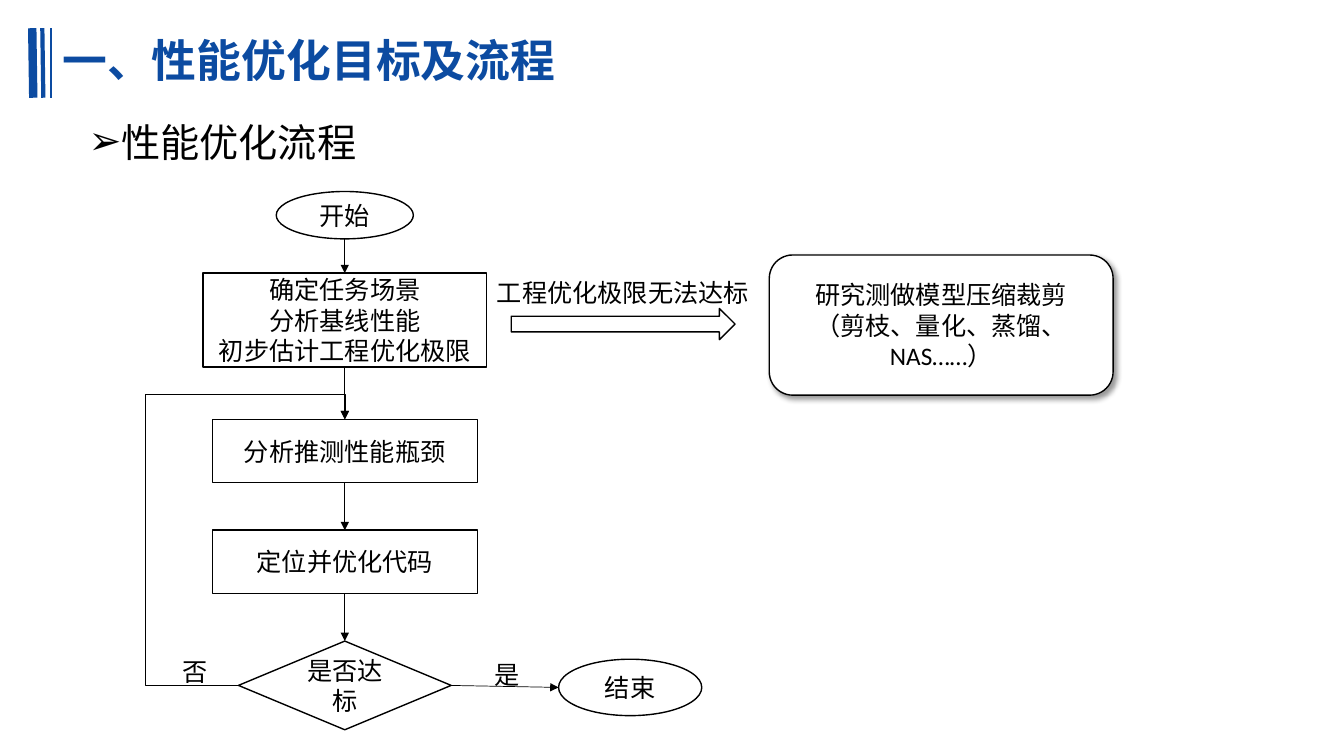
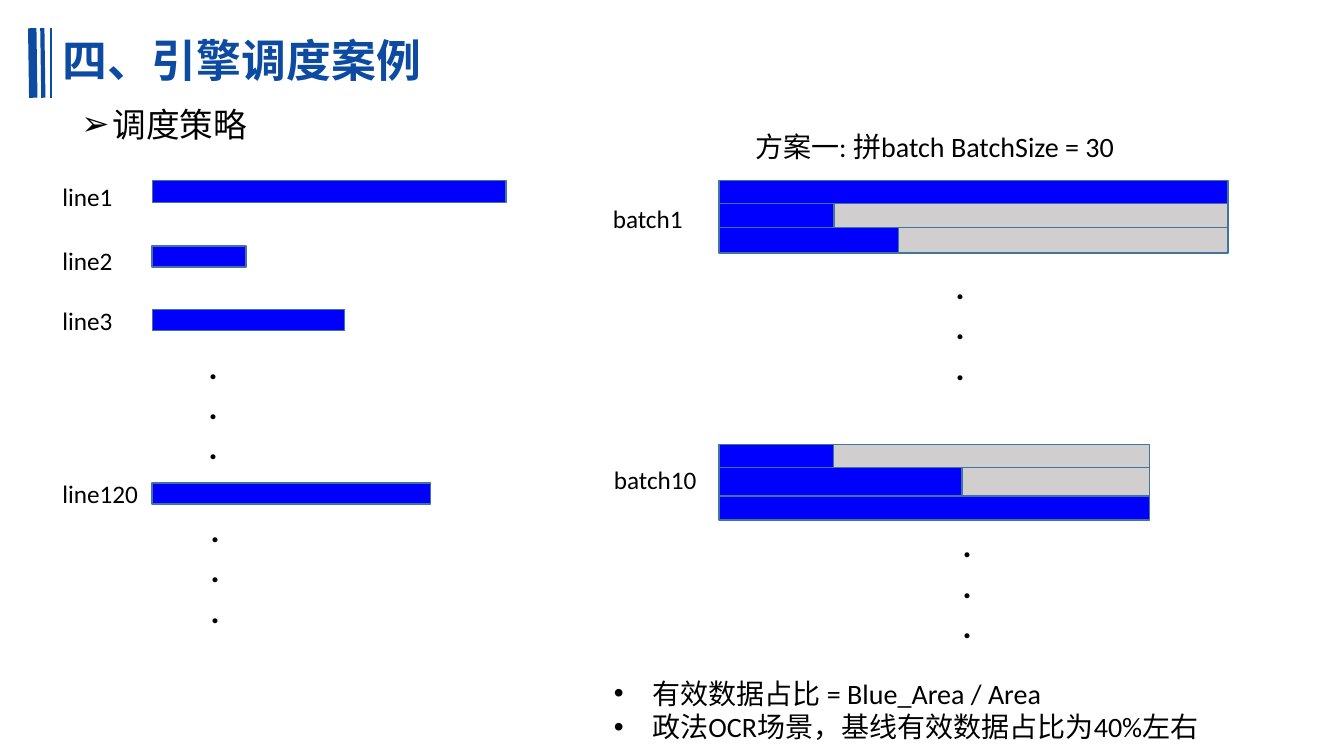
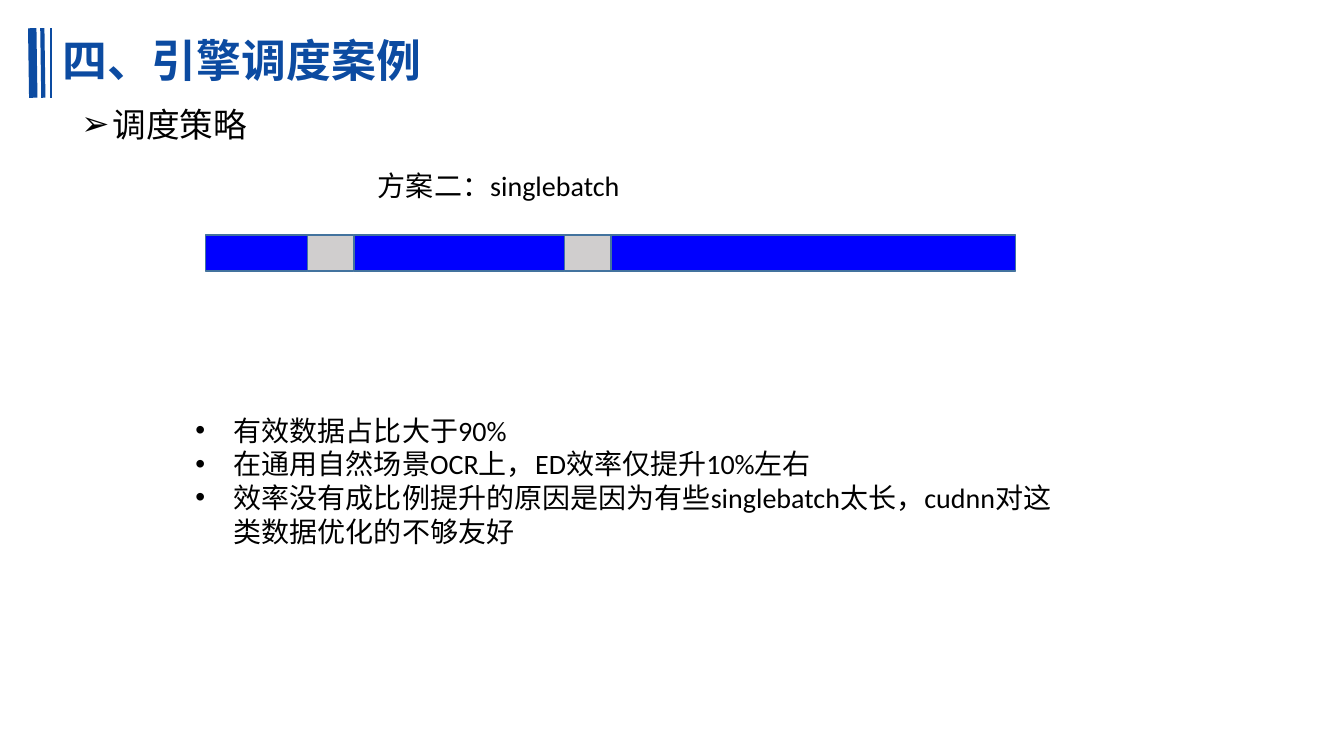
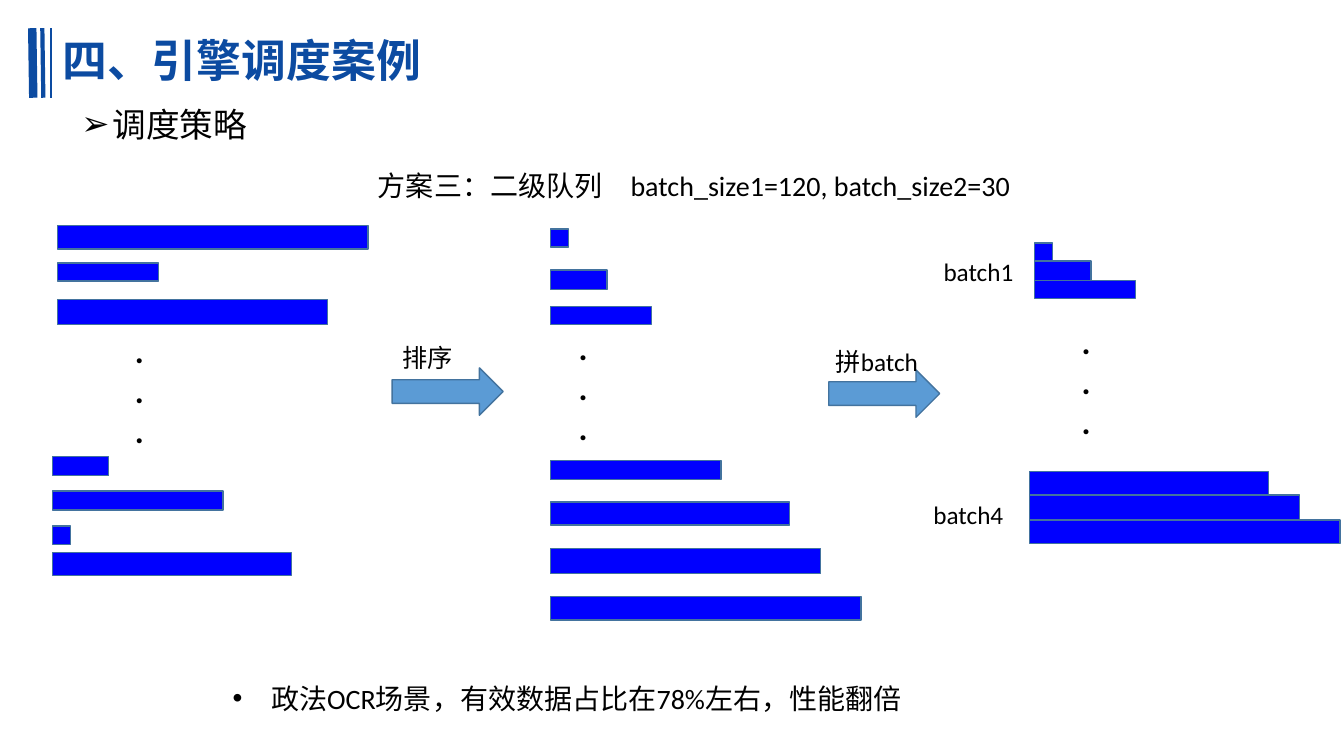
import pptx
import pptx.util
import pptx.dml.color
import pptx.enum.shapes
import pptx.enum.text
import pptx.oxml.ns
from lxml import etree

Inches = pptx.util.Inches
Pt = pptx.util.Pt
qn = pptx.oxml.ns.qn
SHAPE = pptx.enum.shapes.MSO_SHAPE
CONNECTOR = pptx.enum.shapes.MSO_CONNECTOR
ALIGN = pptx.enum.text.PP_ALIGN
ANCHOR = pptx.enum.text.MSO_ANCHOR

COLORS = {
    "title": "0C4BA1",
    "text": "000000",
    "paper": "FFFFFF",
    "data": "0000FF",
    "padding": "D0CECE",
    "arrow": "5B9BD5",
    "edge": "43739E",
}
BODY_FONT = "Calibri"
TITLE_FONT = "Noto Sans CJK SC"
TOP, LEFT, BOTTOM, RIGHT = 0, 1, 2, 3


def color(name):
    return pptx.dml.color.RGBColor.from_string(COLORS[name])


def add_xml(parent, tag, **attributes):
    return etree.SubElement(parent, qn(tag), attributes)


class Deck:
    """Shared style plus the slide being built."""

    def __init__(self):
        self.presentation = pptx.Presentation()
        self.presentation.slide_width = Inches(13.33)
        self.presentation.slide_height = Inches(7.5)
        self.slide = None

    def new_slide(self, title, topic, topic_at=(0.71, 0.98, 3.56, 0.5), topic_size=24):
        self.slide = self.presentation.slides.add_slide(self.presentation.slide_layouts[6])
        for top_x, bottom_x, width in ((0.32, 0.33, 6), (0.42, 0.43, 3), (0.51, 0.51, 1.5)):
            self.line((top_x, 0.28), (bottom_x, 0.97), "title", width)
        heading = self.text((0.52, 0.3, 12.42, 0.66), title, 32, True, "title", TITLE_FONT)
        heading.vertical_anchor = ANCHOR.MIDDLE
        heading.paragraphs[0].line_spacing = 0.9
        self.bullets(topic_at, topic, topic_size, "➢", 0.31)

    def style_text(self, frame, text, size, bold=False, ink="text", font=BODY_FONT, align=None):
        frame.word_wrap = True
        frame.text = text
        for paragraph in frame.paragraphs:
            paragraph.alignment = align
            for run in paragraph.runs:
                run.font.size = Pt(size)
                run.font.bold = bold
                run.font.color.rgb = color(ink)
                run.font.name = font
                add_xml(run.font._element, "a:ea", typeface=font)

    def text(self, at, text, size=18, bold=False, ink="text", font=BODY_FONT):
        frame = self.slide.shapes.add_textbox(*map(Inches, at)).text_frame
        self.style_text(frame, text, size, bold, ink, font)
        return frame

    def bullets(self, at, text, size=20, mark="•", indent=0.38):
        for paragraph in self.text(at, text, size).paragraphs:
            properties = paragraph._p.get_or_add_pPr()
            properties.set("marL", str(Inches(indent)))
            properties.set("indent", str(-Inches(indent)))
            add_xml(properties, "a:buFont", typeface="Arial")
            add_xml(properties, "a:buChar", char=mark)

    def dots(self, left, top):
        self.text((left, top, 0.75, 1.31), ".\n.\n.", 24, True)

    def shape(self, kind, at, fill="paper", edge="text", text=""):
        shape = self.slide.shapes.add_shape(kind, *map(Inches, at))
        shape.shadow.inherit = False
        shape.fill.solid()
        shape.fill.fore_color.rgb = color(fill)
        shape.line.color.rgb = color(edge)
        shape.line.width = Pt(1)
        if text:
            shape.text_frame.vertical_anchor = ANCHOR.MIDDLE
            self.style_text(shape.text_frame, text, 18, align=ALIGN.CENTER)
        return shape

    def drop_shadow(self, shape):
        effects = shape._element.spPr.find(qn("a:effectLst"))
        shadow = add_xml(effects, "a:outerShdw", blurRad=str(Pt(4)), dist=str(Pt(3)),
                         dir=str(45 * 60000), algn="tl", rotWithShape="0")
        ink = add_xml(shadow, "a:srgbClr", val=COLORS["text"])
        add_xml(ink, "a:alpha", val="40000")

    def bar(self, left, top, width, height, fill="data"):
        self.shape(SHAPE.RECTANGLE, (left, top, width, height), fill, "edge")

    def stack(self, left, top, rows, total=0):
        """Touching bars, each padded to the total width when one is given."""
        for width, height in rows:
            self.bar(left, top, width, height)
            if total > width:
                self.bar(left + width, top, total - width, height, "padding")
            top += height

    def line(self, start, end, ink="text", width=0.5, arrow=False, kind=CONNECTOR.STRAIGHT):
        points = [Inches(value) for value in (*start, *end)]
        connector = self.slide.shapes.add_connector(kind, *points)
        connector.line.color.rgb = color(ink)
        connector.line.width = Pt(width)
        properties = connector._element.spPr
        if arrow:
            add_xml(properties.find(qn("a:ln")), "a:tailEnd", type="triangle")
        add_xml(properties, "a:effectLst")
        return connector

    def loop_back(self, start, end, first, second):
        """Four-part elbow; the two bends are in 1/100000 of its size."""
        connector = self.line(start, end, arrow=True, kind=CONNECTOR.ELBOW)
        properties = connector._element.spPr
        frame = properties.find(qn("a:xfrm"))
        frame.attrib.pop("flipV", None)
        frame.set("rot", str(180 * 60000))
        frame.set("flipH", "1")
        geometry = properties.find(qn("a:prstGeom"))
        geometry.set("prst", "bentConnector4")
        for old in list(geometry):
            geometry.remove(old)
        guides = add_xml(geometry, "a:avLst")
        for name, value in (("adj1", first), ("adj2", second)):
            add_xml(guides, "a:gd", name=name, fmla=f"val {value}")


def flow_slide(deck):
    deck.new_slide("一、性能优化目标及流程", "性能优化流程", (0.78, 1.12, 3.29, 0.57), 28)

    # Main column of the flow, centred on one axis
    axis = 3.42
    steps = [
        (SHAPE.OVAL, 1.9, 1.36, 0.47, "开始"),
        (SHAPE.RECTANGLE, 2.71, 2.81, 0.93, "确定任务场景\n分析基线性能\n初步估计工程优化极限"),
        (SHAPE.RECTANGLE, 4.16, 2.63, 0.63, "分析推测性能瓶颈"),
        (SHAPE.RECTANGLE, 5.26, 2.63, 0.63, "定位并优化代码"),
        (SHAPE.FLOWCHART_DECISION, 6.36, 2.11, 0.88, "是否达标"),
    ]
    previous, previous_bottom = None, 0
    for kind, top, width, height, label in steps:
        step = deck.shape(kind, (axis - width / 2, top, width, height), text=label)
        if previous:
            arrow = deck.line((axis, previous_bottom), (axis, top), arrow=True)
            if previous.auto_shape_type != SHAPE.OVAL:
                arrow.begin_connect(previous, BOTTOM)
            arrow.end_connect(step, TOP)
        previous, previous_bottom = step, top + height
    decision = previous

    # Outcomes of the decision
    deck.shape(SHAPE.OVAL, (5.54, 6.54, 1.42, 0.56), text="结束")
    deck.line((4.48, 6.8), (5.54, 6.82), arrow=True).begin_connect(decision, RIGHT)
    deck.text((4.81, 6.49, 0.55, 0.4), "是")
    deck.loop_back((2.37, 6.8), (axis, 4.16), -88400, 109500)
    deck.text((1.71, 6.46, 0.71, 0.4), "否")

    # Way out when engineering alone is not enough
    deck.text((4.83, 2.7, 2.71, 0.4), "工程优化极限无法达标")
    deck.shape(SHAPE.RIGHT_ARROW, (5.07, 3.06, 2.22, 0.31))
    research = deck.shape(SHAPE.ROUNDED_RECTANGLE, (7.63, 2.53, 3.41, 1.39),
                          text="研究测做模型压缩裁剪\n（剪枝、量化、蒸馏、NAS……）")
    deck.drop_shadow(research)


def batch_slide(deck):
    deck.new_slide("四、引擎调度案例", "调度策略")

    # Incoming lines
    for label, label_top, label_width, top, width, height in (
            ("line1", 1.75, 0.77, 1.79, 3.51, 0.22),
            ("line2", 2.38, 0.77, 2.44, 0.93, 0.21),
            ("line3", 2.98, 0.77, 3.07, 1.91, 0.21),
            ("line120", 4.7, 0.98, 4.79, 2.76, 0.21)):
        deck.text((0.52, label_top, label_width, 0.4), label)
        deck.bar(1.51, top, width, height)

    # Padded batches
    deck.text((7.39, 1.24, 4.42, 0.44), "方案一: 拼batch BatchSize = 30", 20)
    deck.text((5.98, 1.97, 1.14, 0.4), "batch1")
    deck.stack(7.13, 1.79, [(5.05, 0.23), (1.14, 0.24), (1.78, 0.25)], 5.05)
    deck.text((5.99, 4.56, 1.14, 0.4), "batch10")
    deck.stack(7.13, 4.41, [(1.14, 0.23), (2.41, 0.28), (4.27, 0.24)], 4.27)

    for left, top in ((1.97, 3.38), (1.99, 5), (9.38, 2.59), (9.45, 5.15)):
        deck.dots(left, top)
    deck.bullets((5.99, 6.66, 6.41, 0.77),
                 "有效数据占比 = Blue_Area / Area\n政法OCR场景，基线有效数据占比为40%左右")


def single_slide(deck):
    deck.new_slide("四、引擎调度案例", "调度策略")
    deck.text((3.65, 1.62, 3.68, 0.44), "方案二：singlebatch", 20)

    # One long row of data and padding
    left = 2.04
    for width, fill in ((1.01, "data"), (0.46, "padding"), (2.09, "data"),
                        (0.46, "padding"), (4.01, "data")):
        deck.bar(left, 2.33, width, 0.36, fill)
        left += width

    deck.bullets((1.84, 4.05, 8.76, 1.45),
                 "有效数据占比大于90%\n"
                 "在通用自然场景OCR上，ED效率仅提升10%左右\n"
                 "效率没有成比例提升的原因是因为有些singlebatch太长，cudnn对这类数据优化的不够友好")


def queue_slide(deck):
    deck.new_slide("四、引擎调度案例", "调度策略")
    deck.text((3.65, 1.62, 7.12, 0.44), "方案三：二级队列　batch_size1=120, batch_size2=30", 20)

    # The same seven lines, shortest first, appear in all three stages
    lines = [(0.18, 0.18), (0.56, 0.19), (1, 0.18), (1.69, 0.19),
             (2.37, 0.23), (2.68, 0.25), (3.08, 0.23)]
    arrival = [(6, 0.57, 2.24), (2, 0.57, 2.61), (5, 0.57, 2.97), (1, 0.52, 4.53),
               (3, 0.52, 4.87), (0, 0.52, 5.22), (4, 0.52, 5.48)]
    in_order = [(rank, 5.46, top)
                for rank, top in enumerate((2.27, 2.68, 3.04, 4.57, 4.98, 5.44, 5.92))]
    for rank, left, top in arrival + in_order:
        deck.bar(left, top, *lines[rank])

    # Batches cut from the sorted queue
    deck.text((9.26, 2.49, 1.1, 0.4), "batch1")
    deck.stack(10.26, 2.41, lines[:3])
    deck.text((9.16, 4.9, 1.1, 0.4), "batch4")
    deck.stack(10.21, 4.68, lines[4:])

    # Stage arrows
    for left, top, label, label_left, label_top in (
            (3.89, 3.65, "排序", 3.89, 3.35), (8.22, 3.67, "拼batch", 8.19, 3.39)):
        deck.shape(SHAPE.RIGHT_ARROW, (left, top, 1.1, 0.47), "arrow", "edge")
        deck.text((label_left, label_top, 1.1, 0.4), label)

    for left, top in ((1.24, 3.22), (5.64, 3.19), (10.63, 3.13)):
        deck.dots(left, top)
    deck.bullets((2.21, 6.71, 7.39, 0.44), "政法OCR场景，有效数据占比在78%左右，性能翻倍")


def main():
    deck = Deck()
    for build in (flow_slide, batch_slide, single_slide, queue_slide):
        build(deck)
    deck.presentation.save("out.pptx")


if __name__ == "__main__":
    main()
